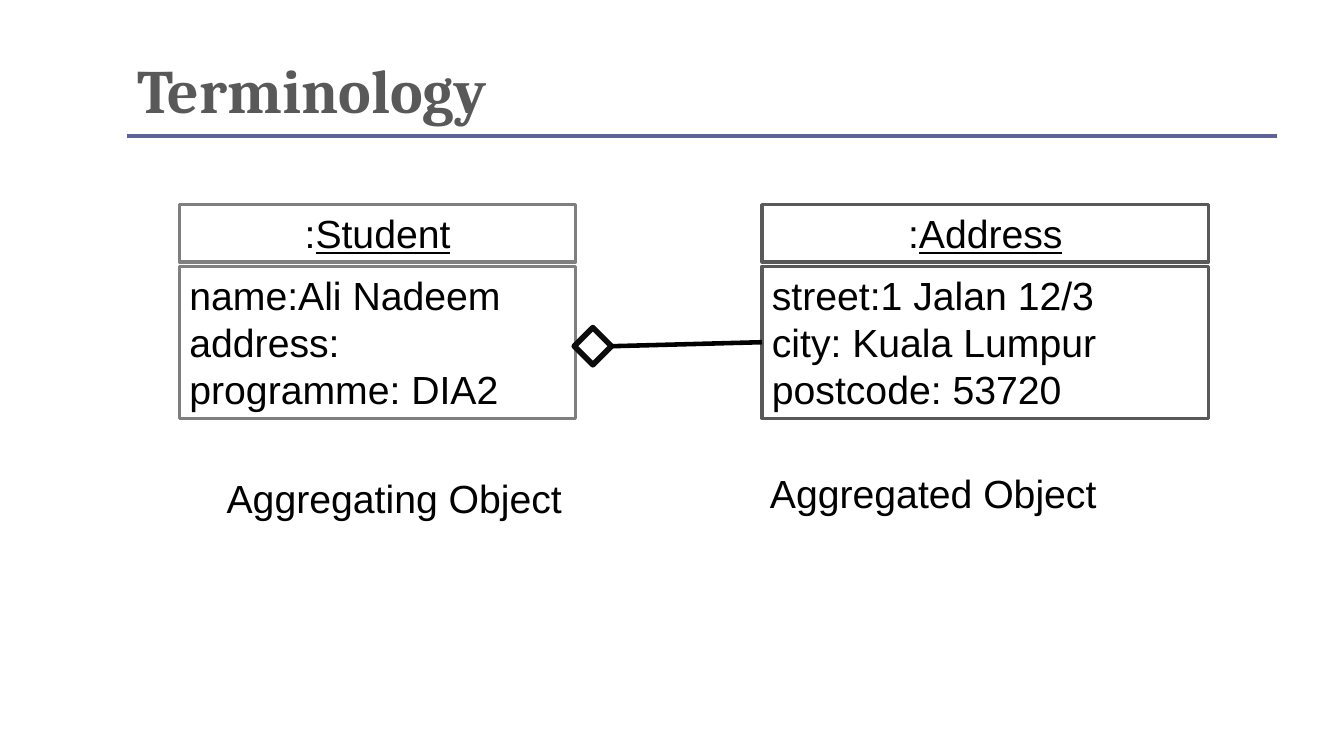
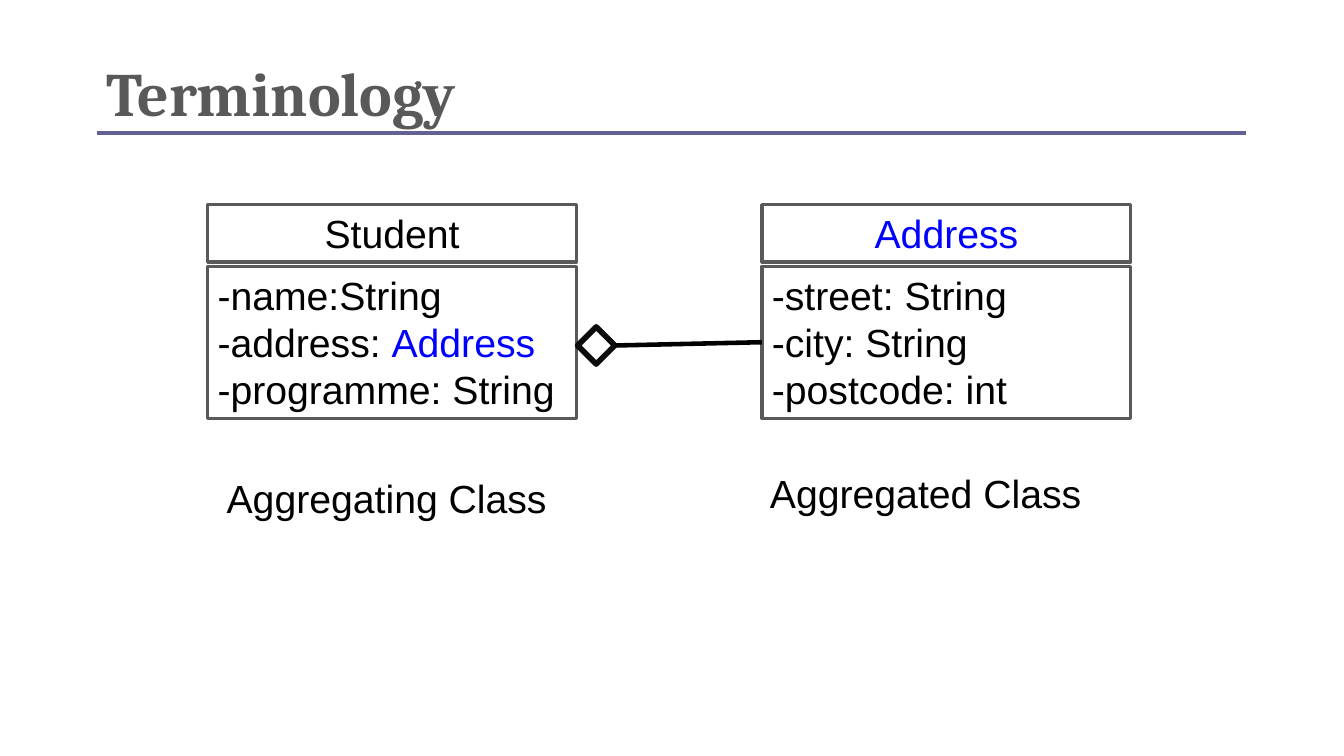
from lxml import etree
from pptx import Presentation
from pptx.dml.color import RGBColor
from pptx.enum import shapes, text
from pptx.oxml.ns import qn
from pptx.util import Pt

# Shared look
BLACK, GREY, MID_GREY, BLUE, PURPLE = "000000", "595959", "7F7F7F", "0000FF", "616196"
HEAD_TOP, HEAD_H = 146.2, 41
BODY_TOP, BODY_H = 190.1, 108.7
RIGHT_BOX_LEFT = 544.3
DIAMOND = 26.6
CAPTIONS = [(154.8, 335.5), (542.9, 331.9)]
PLAIN, UNDERLINED, LINKED = "plain", "underlined", "linked"

# Content: every line is a list of (words, style); boxes are left, width, outline, head, body
SLIDES = [
    {
        "title": "Terminology", "title_at": (90.7, 35.3), "rule_y": 97.2,
        "boxes": [
            (128.2, 283, MID_GREY, [(":", PLAIN), ("Student", UNDERLINED)],
             [[("name:Ali Nadeem", PLAIN)],
              [("address:", PLAIN)],
              [("programme: DIA2", PLAIN)]]),
            (RIGHT_BOX_LEFT, 319, GREY, [(":", PLAIN), ("Address", UNDERLINED)],
             [[("street:1 Jalan 12/3", PLAIN)],
              [("city: Kuala Lumpur", PLAIN)],
              [("postcode: 53720", PLAIN)]]),
        ],
        "diamond_at": (410.2, 234),
        "captions": ["Aggregating Object", "Aggregated Object"],
    },
    {
        "title": "Terminology", "title_at": (69, 37.4), "rule_y": 95,
        "boxes": [
            (148.3, 263.5, GREY, [("Student", PLAIN)],
             [[("-name:String", PLAIN)],
              [("-address: ", PLAIN), ("Address", LINKED)],
              [("-programme: String", PLAIN)]]),
            (RIGHT_BOX_LEFT, 263.5, GREY, [("Address", LINKED)],
             [[("-street: String", PLAIN)],
              [("-city: String", PLAIN)],
              [("-postcode: int", PLAIN)]]),
        ],
        "diamond_at": (412.6, 233.5),
        "captions": ["Aggregating Class", "Aggregated Class"],
    },
]


def rgb(value):
    return RGBColor.from_string(value)


def set_outline(line, color, width):
    line.color.rgb = rgb(color)
    line.width = Pt(width)


def write(shape, lines, align=text.PP_ALIGN.LEFT):
    frame = shape.text_frame
    frame.word_wrap = True
    frame.vertical_anchor = text.MSO_ANCHOR.TOP
    for i, words in enumerate(lines):
        paragraph = frame.add_paragraph() if i else frame.paragraphs[0]
        paragraph.alignment = align
        paragraph.font.size = Pt(28)
        paragraph.font.name = "Arial"
        for word, style in words:
            run = paragraph.add_run()
            run.text = word
            run.font.color.rgb = rgb(BLUE if style == LINKED else BLACK)
            if style == UNDERLINED:
                run.font.underline = True


def add_outlined(slide, kind, left, top, width, height, color, weight):
    shape = slide.shapes.add_shape(kind, Pt(left), Pt(top), Pt(width), Pt(height))
    shape.shadow.inherit = False
    shape.fill.background()
    set_outline(shape.line, color, weight)
    return shape


def add_line(slide, x1, y1, x2, y2, color, weight):
    line = slide.shapes.add_connector(
        shapes.MSO_CONNECTOR.STRAIGHT, Pt(x1), Pt(y1), Pt(x2), Pt(y2))
    set_outline(line.line, color, weight)
    etree.SubElement(line._element.spPr, qn("a:effectLst"))
    return line


def add_title(slide, words, left, top, rule_y):
    title = slide.shapes.title
    title.left, title.top, title.width, title.height = Pt(left), Pt(top), Pt(642.2), Pt(57.6)
    frame = title.text_frame
    frame.text = words
    frame.auto_size = text.MSO_AUTO_SIZE.NONE
    frame.vertical_anchor = text.MSO_ANCHOR.BOTTOM
    paragraph = frame.paragraphs[0]
    paragraph.alignment = text.PP_ALIGN.LEFT
    paragraph.line_spacing = 0.8
    font = paragraph.font
    font.name, font.size, font.bold = "Cambria", Pt(44), True
    font.color.rgb = rgb(GREY)
    add_line(slide, left, rule_y, left + 821.3, rule_y, PURPLE, 2.5)


def add_class_box(slide, left, width, color, head, body):
    rectangle = shapes.MSO_SHAPE.RECTANGLE
    name = add_outlined(slide, rectangle, left, HEAD_TOP, width, HEAD_H, color, 2.25)
    write(name, [head], text.PP_ALIGN.CENTER)
    attributes = add_outlined(slide, rectangle, left, BODY_TOP, width, BODY_H, color, 2.25)
    write(attributes, body)
    return attributes


def build(prs, content):
    slide = prs.slides.add_slide(prs.slide_layouts[5])
    add_title(slide, content["title"], *content["title_at"], content["rule_y"])
    owner, part = [add_class_box(slide, *box) for box in content["boxes"]]

    # Captions below the boxes
    for caption, (left, top) in zip(content["captions"], CAPTIONS):
        label = slide.shapes.add_textbox(Pt(left), Pt(top), Pt(262), Pt(41))
        write(label, [[(caption, PLAIN)]])

    # Aggregation: diamond at the owner, line to the part
    diamond = add_outlined(slide, shapes.MSO_SHAPE.DIAMOND, *content["diamond_at"],
                           DIAMOND, DIAMOND, "0C0C0C", 4)
    link = add_line(slide, 436, 247, RIGHT_BOX_LEFT, 244.5, BLACK, 3.25)
    link.begin_connect(diamond, 3)
    link.end_connect(part, 1)


def main():
    prs = Presentation()
    prs.slide_width, prs.slide_height = Pt(960), Pt(540)
    for content in SLIDES:
        build(prs, content)
    prs.save("out.pptx")


if __name__ == "__main__":
    main()
